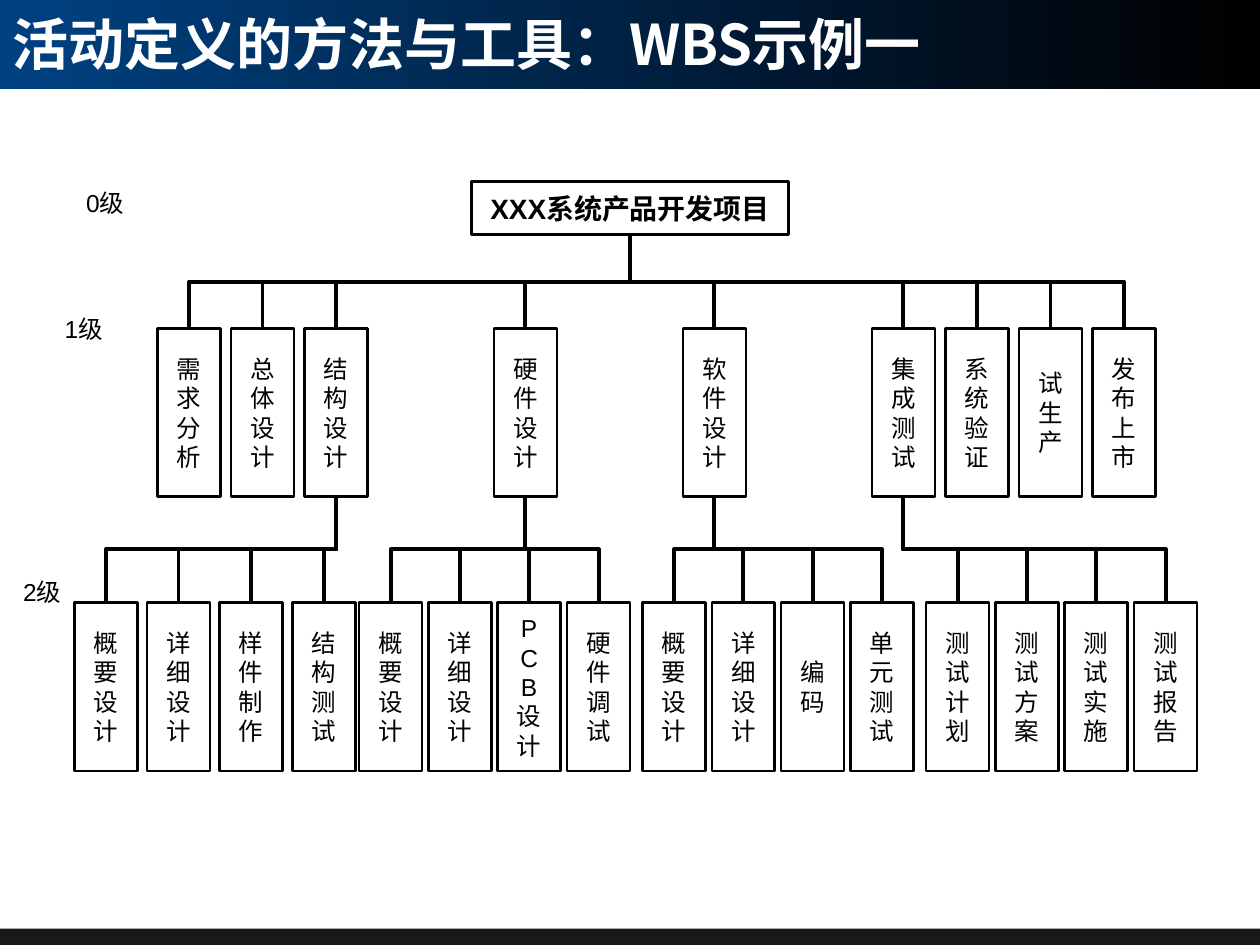
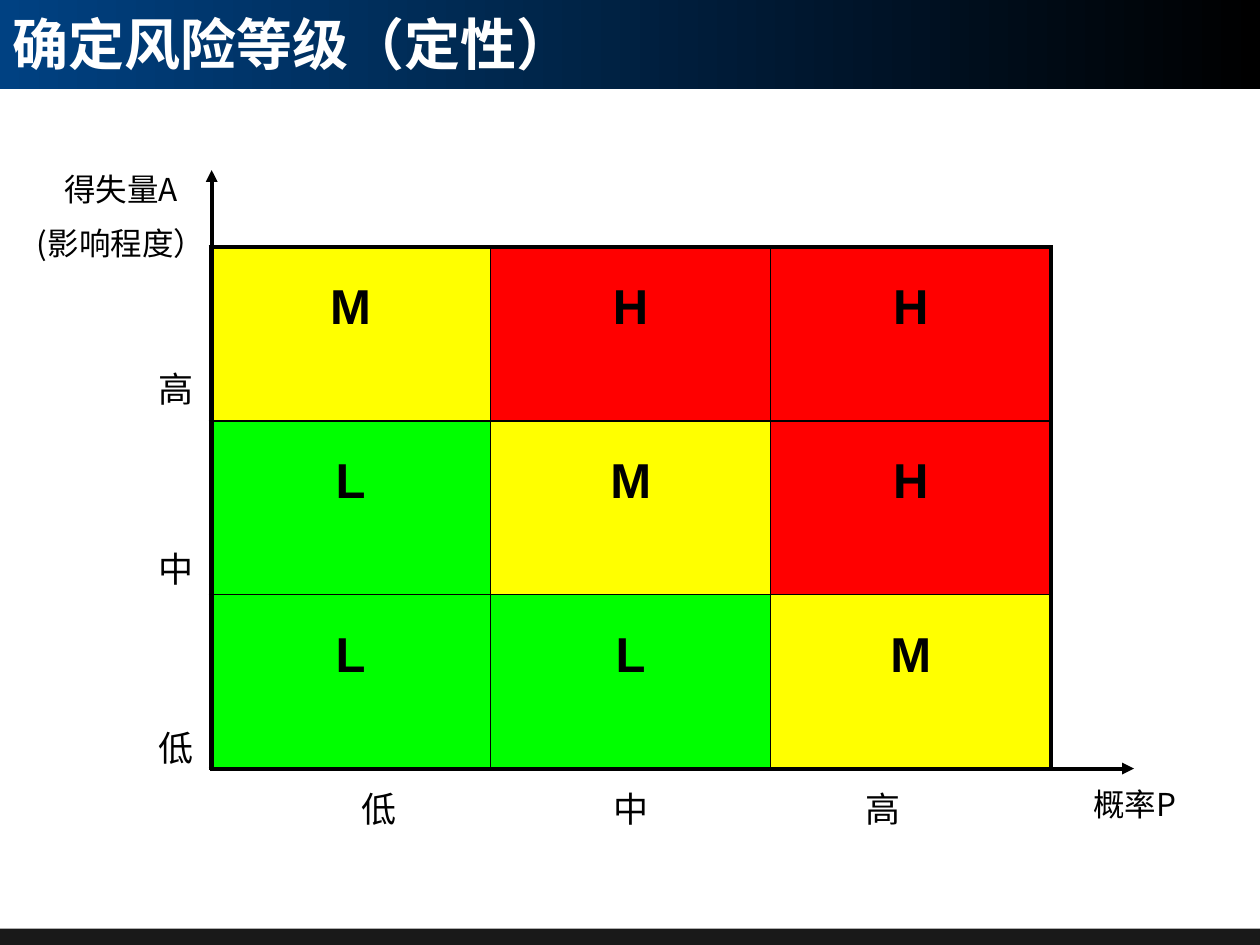
from pptx import Presentation
from pptx.dml.color import RGBColor
from pptx.enum.shapes import MSO_CONNECTOR, MSO_SHAPE
from pptx.enum.text import MSO_ANCHOR, MSO_AUTO_SIZE, PP_ALIGN
from pptx.oxml.ns import qn
from pptx.util import Inches, Pt
from lxml.etree import SubElement

HUES = {"navy": "004182", "black": "000000", "white": "FFFFFF",
        "L": "00FF00", "M": "FFFF00", "H": "FF0000"}
LATIN, HAN = "Arial", "Noto Sans CJK SC"

# Work breakdown: each group is (left, step, names)
STAGES = [
    (1.25, 7 / 12, ["需求分析", "总体设计", "结构设计"]),
    (3.92, 0, ["硬件设计"]),
    (5.42, 0, ["软件设计"]),
    (6.92, 7 / 12, ["集成测试", "系统验证", "试生产", "发布上市"]),
]
# Tasks are keyed by the stage above them
TASKS = {
    "结构设计": (0.59, 0.577, ["概要设计", "详细设计", "样件制作", "结构测试"]),
    "硬件设计": (2.85, 0.55, ["概要设计", "详细设计", "P\nC\nB设计", "硬件调试"]),
    "软件设计": (5.1, 0.55, ["概要设计", "详细设计", "编码", "单元测试"]),
    "集成测试": (7.35, 0.55, ["测试计划", "测试方案", "测试实施", "测试报告"]),
}
BOX_W, STAGE_Y, TASK_Y = 0.5, 2.61, 4.78
RISKS = ["MHH", "LMH", "LLM"]


def hue(name):
    return RGBColor.from_string(HUES[name])


def write(frame, text, size, face=LATIN, bold=False, tint="black",
          align=PP_ALIGN.CENTER, gap=0, tabs=()):
    """Fill a text frame, one paragraph for each line of text."""
    for i, line in enumerate(text.split("\n")):
        para = frame.paragraphs[0] if i == 0 else frame.add_paragraph()
        para.alignment = align
        para.space_before = Pt(gap if i else 0)
        if tabs:
            stops = SubElement(para._p.get_or_add_pPr(), qn("a:tabLst"))
            for stop in tabs:
                SubElement(stops, qn("a:tab"), pos=str(Inches(stop)), algn="l")
        run = para.add_run()
        run.text = line
        font = run.font
        font.size, font.bold, font.name = Pt(size), bold, face
        font.color.rgb = hue(tint)
        SubElement(run._r.get_or_add_rPr(), qn("a:ea"), typeface=HAN)


def add_rect(slide, x, y, w, h):
    rect = slide.shapes.add_shape(MSO_SHAPE.RECTANGLE, Inches(x), Inches(y),
                                  Inches(w), Inches(h))
    rect.shadow.inherit = False
    return rect


def add_box(slide, x, y, w, h, text, size=14, bold=False):
    box = add_rect(slide, x, y, w, h)
    box.fill.background()
    box.line.color.rgb = hue("black")
    box.line.width = Pt(1.5)
    box.text_frame.vertical_anchor = MSO_ANCHOR.MIDDLE
    write(box.text_frame, text, size, bold=bold)


def add_label(slide, x, y, w, h, text, size, inset=0.1, **style):
    frame = slide.shapes.add_textbox(Inches(x), Inches(y), Inches(w),
                                     Inches(h)).text_frame
    frame.word_wrap = True
    frame.margin_left = frame.margin_right = Inches(inset)
    write(frame, text, size, **style)


def add_line(slide, kind, x1, y1, x2, y2):
    line = slide.shapes.add_connector(kind, Inches(x1), Inches(y1),
                                      Inches(x2), Inches(y2))
    line.line.color.rgb = hue("black")
    line.line.width = Pt(2.25)
    SubElement(line.element.spPr, qn("a:effectLst"))
    return line


def add_branch(slide, x1, y1, x2, y2):
    """Elbow that leaves downwards: a sideways elbow turned a quarter."""
    mid_x, mid_y = (x1 + x2) / 2, (y1 + y2) / 2
    side = 1 if x2 < x1 else -1
    half_w, half_h = side * (y2 - y1) / 2, abs(x2 - x1) / 2
    link = add_line(slide, MSO_CONNECTOR.ELBOW, mid_x - half_w, mid_y - half_h,
                    mid_x + half_w, mid_y + half_h)
    turn = 90 if side == 1 else 270
    link.element.spPr.find(qn("a:xfrm")).set("rot", str(turn * 60000))


def add_axis(slide, x1, y1, x2, y2):
    axis = add_line(slide, MSO_CONNECTOR.STRAIGHT, x1, y1, x2, y2)
    SubElement(axis.line._get_or_add_ln(), qn("a:tailEnd"), type="triangle")


def add_page(deck, title, width):
    """Title-only slide with the top band and the foot strip."""
    slide = deck.slides.add_slide(deck.slide_layouts[5])
    band = add_rect(slide, 0, 0, 10, 0.71)
    band.line.fill.background()
    band.fill.gradient()
    band.fill.gradient_angle = 0
    for stop, name in zip(band.fill.gradient_stops, ("navy", "black")):
        stop.color.rgb = hue(name)

    foot = add_rect(slide, 0, 7.37, 10, 0.13)
    foot.line.fill.background()
    foot.fill.solid()
    foot.fill.fore_color.rgb = hue("black")
    tint = foot.element.spPr.find(".//" + qn("a:srgbClr"))
    SubElement(tint, qn("a:alpha"), val="90000")

    # Bring the title in front of the band
    head = slide.shapes.title
    head.element.getparent().append(head.element)
    head.left, head.top = Inches(0), Inches(0.04)
    head.width, head.height = Inches(width), Inches(0.61)
    frame = head.text_frame
    frame.auto_size = MSO_AUTO_SIZE.NONE
    frame.vertical_anchor = MSO_ANCHOR.MIDDLE
    write(frame, title, 32, HAN, True, "white", PP_ALIGN.LEFT)
    return slide


def add_group(slide, group, y, h, root_x, root_y):
    """Row of boxes; each hangs from the root point given for its name."""
    left, step, names = group
    mids = {}
    for i, name in enumerate(names):
        x = left + i * step
        mids[name] = x + BOX_W / 2
        add_branch(slide, root_x, root_y, mids[name], y - 0.01)
        add_box(slide, x, y, BOX_W, h, name)
    return mids


def edge(cell, side, width):
    line = SubElement(cell._tc.get_or_add_tcPr(), qn("a:ln" + side),
                      w=str(Pt(width)))
    fill = SubElement(line, qn("a:solidFill"))
    SubElement(fill, qn("a:srgbClr"), val=HUES["black"])


def add_matrix(slide, x, y, w, h):
    last = len(RISKS) - 1
    grid = slide.shapes.add_table(last + 1, last + 1, Inches(x), Inches(y),
                                  Inches(w), Inches(h)).table
    for r, row in enumerate(RISKS):
        for c, level in enumerate(row):
            cell = grid.cell(r, c)
            outer = {"L": c == 0, "R": c == last, "T": r == 0, "B": r == last}
            for side, thick in outer.items():
                edge(cell, side, 2.25 if thick else 1)
            cell.fill.solid()
            cell.fill.fore_color.rgb = hue(level)
            write(cell.text_frame, level, 28, bold=True)
            cell.text_frame.paragraphs[0].line_spacing = 1.5


def draw_wbs(deck):
    slide = add_page(deck, "活动定义的方法与工具：WBS示例一", 8.47)
    add_box(slide, 3.74, 1.44, 2.52, 0.42, "XXX系统产品开发项目", 16, True)
    mids = {}
    for group in STAGES:
        mids.update(add_group(slide, group, STAGE_Y, 1.33, 5, 1.87))
    for stage, group in TASKS.items():
        add_group(slide, group, TASK_Y, 1.34, mids[stage], 3.95)
    for i, (x, y) in enumerate([(0.5, 1.44), (0.33, 2.44), (0, 4.53)]):
        add_label(slide, x, y, 0.67, 0.33, f"{i}级", 14)


def draw_risk(deck):
    slide = add_page(deck, "确定风险等级（定性）", 5.74)
    add_matrix(slide, 1.67, 1.96, 6.67, 4.14)
    # Axes and their names
    add_axis(slide, 1.68, 6.1, 1.68, 1.35)
    add_axis(slide, 1.67, 6.1, 9, 6.1)
    add_label(slide, 8.58, 6.18, 1.25, 0.4, "概率P", 18, face=HAN,
              align=PP_ALIGN.LEFT)
    add_label(slide, 0.17, 1.3, 1.58, 0.85, "得失量A\n(影响程度）", 18,
              face=HAN, gap=9)
    # Scale marks
    add_label(slide, 1.19, 2.87, 0.42, 3.23, "高\n中\n低", 20, inset=0, gap=78.5)
    add_label(slide, 1.67, 6.2, 6.67, 0.33, "低\t中\t高", 20, tabs=(2, 4))


def main():
    deck = Presentation()
    deck.slide_width, deck.slide_height = Inches(10), Inches(7.5)
    draw_wbs(deck)
    draw_risk(deck)
    deck.save("out.pptx")


if __name__ == "__main__":
    main()
